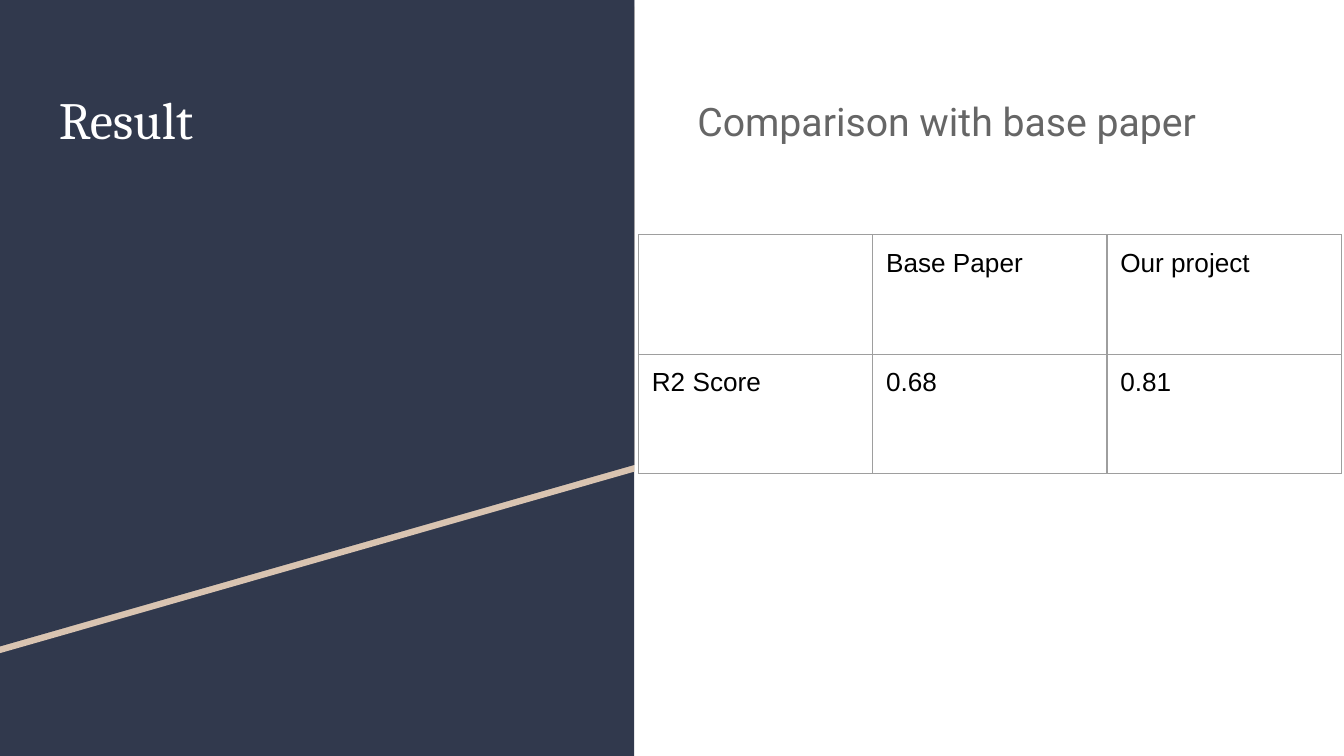
from lxml import etree
from pptx import Presentation
from pptx import util as u
from pptx.dml.color import RGBColor
from pptx.enum import shapes, text
from pptx.oxml import ns

HUES = {
    "navy": "31394D",
    "sand": "D9C4B1",
    "white": "FFFFFF",
    "gray": "666666",
    "black": "000000",
    "rule": "9E9E9E",
}
WIDE, HIGH = 720, 405
SPLIT = 339.8
PAD = 7.2


def hue(name):
    return RGBColor.from_string(HUES[name])


class Deck:
    """Holds the house style and the slide being drawn."""

    def __init__(self):
        self.file = Presentation()
        self.file.slide_width = u.Pt(WIDE)
        self.file.slide_height = u.Pt(HIGH)
        self.slide = self.file.slides.add_slide(self.file.slide_layouts[6])
        self.slide.background.fill.solid()
        self.slide.background.fill.fore_color.rgb = hue("white")

    def paint(self, shape, fill):
        shape.shadow.inherit = False
        shape.fill.solid()
        shape.fill.fore_color.rgb = hue(fill)
        shape.line.fill.background()

    def panel(self, x, y, w, h, fill):
        box = map(u.Pt, (x, y, w, h))
        kind = shapes.MSO_SHAPE.RECTANGLE
        self.paint(self.slide.shapes.add_shape(kind, *box), fill)

    def shard(self, points, fill):
        first, *rest = [(u.Pt(x), u.Pt(y)) for x, y in points]
        pen = self.slide.shapes.build_freeform(*first, scale=1.0)
        pen.add_line_segments(rest, close=True)
        self.paint(pen.convert_to_shape(), fill)

    def add_text(self, para, words, size, font, color):
        run = para.add_run()
        run.text = words
        run.font.size = u.Pt(size)
        run.font.name = font
        run.font.color.rgb = hue(color)

    def label(self, x, y, w, h, words, size, font, color, lead=1.0):
        box = map(u.Pt, (x, y, w, h))
        frame = self.slide.shapes.add_textbox(*box).text_frame
        frame.word_wrap = True
        frame.vertical_anchor = text.MSO_ANCHOR.TOP
        frame.margin_left = frame.margin_right = u.Pt(PAD)
        frame.margin_top = frame.margin_bottom = u.Pt(PAD)
        para = frame.paragraphs[0]
        para.line_spacing = lead
        self.add_text(para, words, size, font, color)

    def edge(self, cell):
        """Rule all four sides of a cell; borders must precede its fill."""
        props = cell._tc.get_or_add_tcPr()
        for side in ("lnL", "lnR", "lnT", "lnB"):
            line = etree.SubElement(props, ns.qn("a:" + side), w=str(u.Pt(0.75)))
            fill = etree.SubElement(line, ns.qn("a:solidFill"))
            etree.SubElement(fill, ns.qn("a:srgbClr"), val=HUES["rule"])

    def table(self, x, y, wide, high, rows):
        count = len(rows), len(rows[0])
        box = map(u.Pt, (x, y, wide * count[1], high * count[0]))
        grid = self.slide.shapes.add_table(*count, *box).table
        grid.first_row = grid.horz_banding = False
        for col in grid.columns:
            col.width = u.Pt(wide)
        for row, items in zip(grid.rows, rows):
            row.height = u.Pt(high)
            for cell, words in zip(row.cells, items):
                cell.margin_left = cell.margin_right = u.Pt(PAD)
                cell.margin_top = cell.margin_bottom = u.Pt(PAD)
                self.edge(cell)
                cell.fill.background()
                if words:
                    para = cell.text_frame.paragraphs[0]
                    self.add_text(para, words, 14, "Arial", "black")


def main():
    deck = Deck()
    deck.panel(0, 0, SPLIT, HIGH, "navy")
    for top, fill in ((3.6, "sand"), (0, "navy")):
        deck.shard([(0, top), (SPLIT, top), (SPLIT, top + 249.1),
                    (0, top + 346.3)], fill)
    deck.label(24.5, 39.6, 291.6, 197.3, "Result", 28, "Cambria", "white")
    deck.label(366.5, 41, 328.3, 322.6, "Comparison with base paper",
               21, "Roboto", "gray", lead=1.15)
    deck.table(342, 125.8, 125.5, 64, [
        ["", "Base Paper", "Our project"],
        ["R2 Score", "0.68", "0.81"],
    ])
    deck.file.save("out.pptx")


if __name__ == "__main__":
    main()
